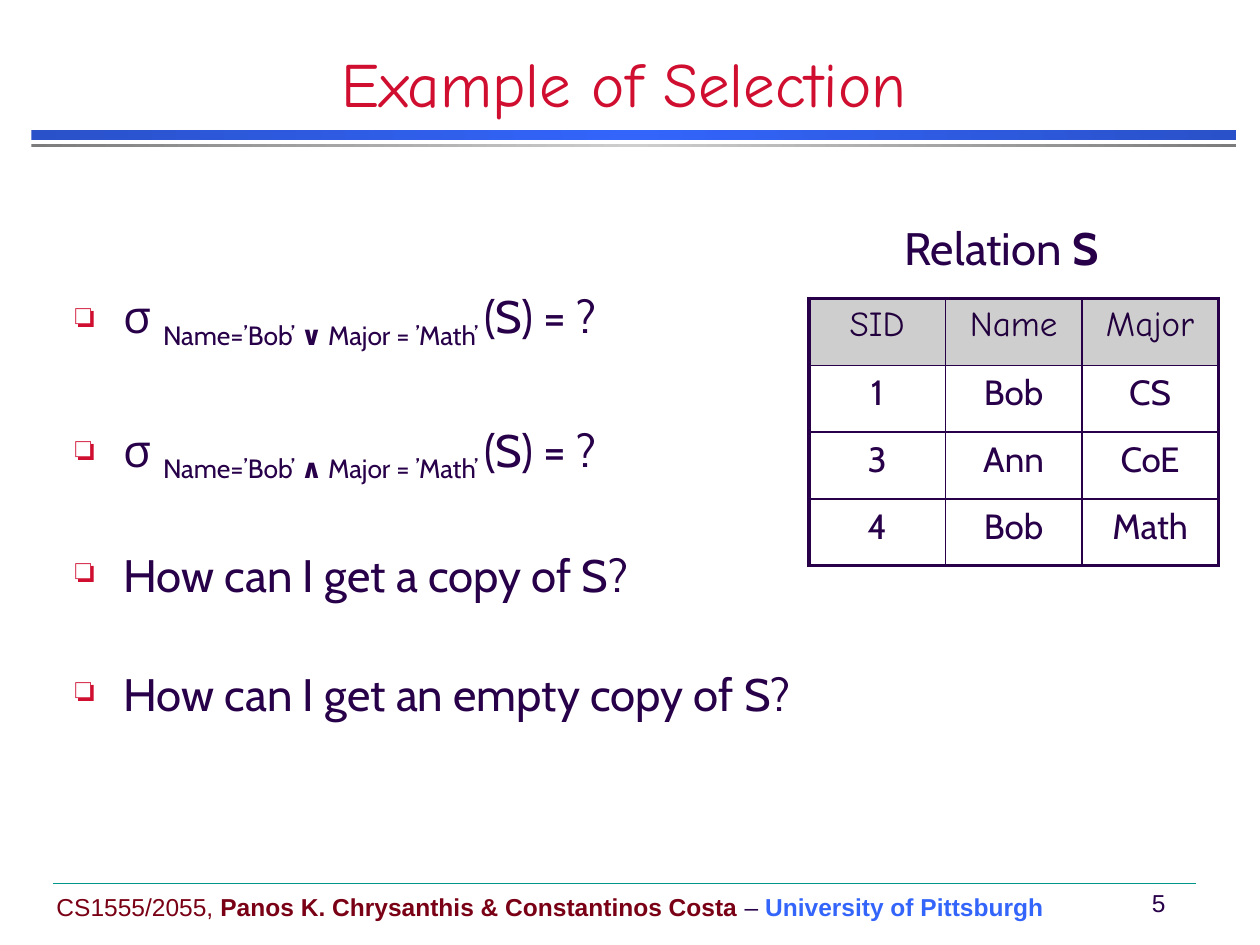
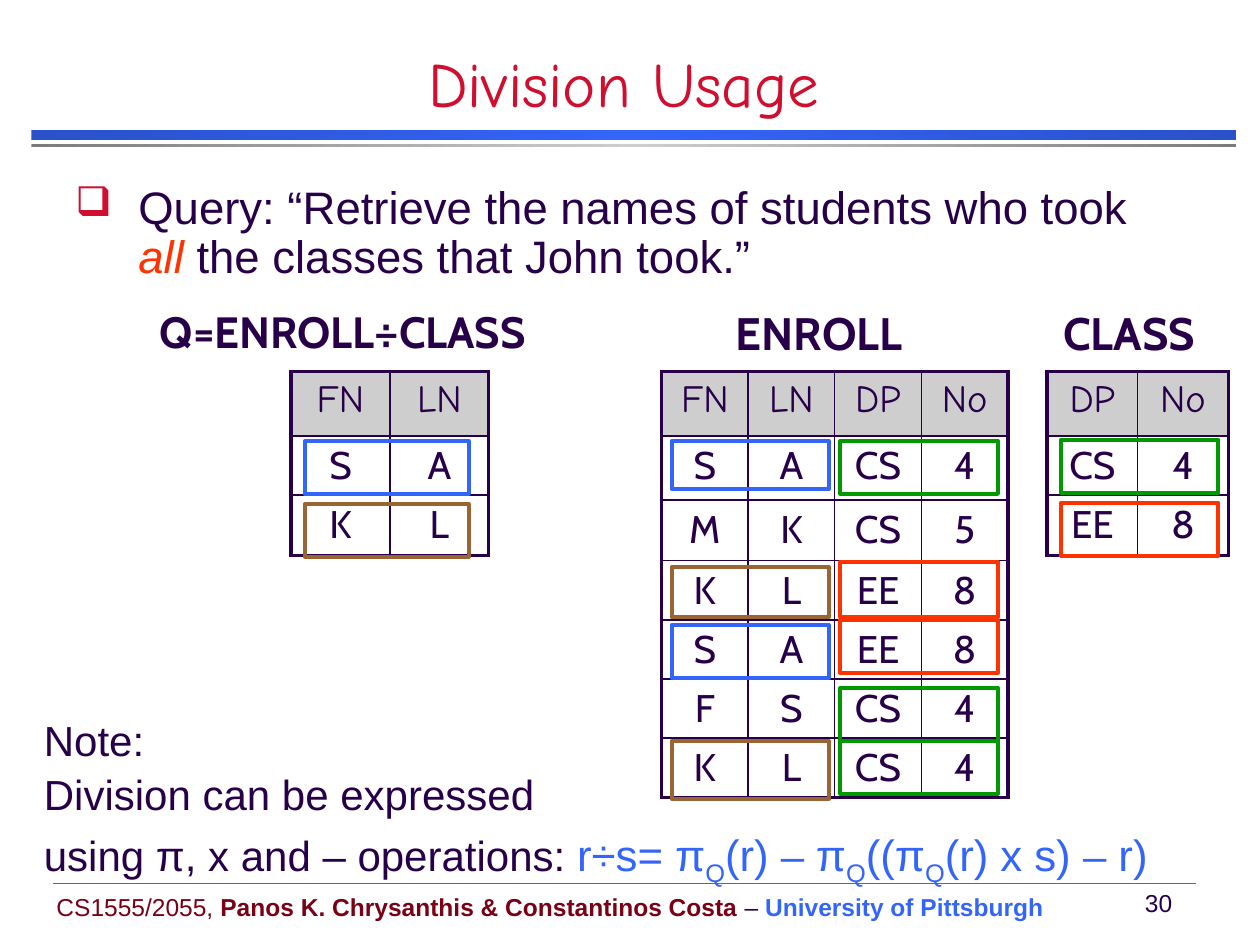
from copy import deepcopy

from lxml import etree
from pptx import Presentation
from pptx import util as u
from pptx.dml.color import RGBColor
from pptx.enum import shapes, text
from pptx.oxml.ns import qn

WIDTH, HEIGHT = u.Inches(10), u.Inches(7.5)
COLUMN, ROW = WIDTH / 10, HEIGHT / 7.5

INK = RGBColor(0x28, 0x00, 0x49)
DARK_INK = RGBColor(0x21, 0x00, 0x3D)
CRIMSON = RGBColor(0xCF, 0x0E, 0x30)
MAROON = RGBColor(0x79, 0x00, 0x15)
BLUE = RGBColor(0x33, 0x65, 0xFB)
DEEP_BLUE = RGBColor(0x29, 0x51, 0xC9)
GREY = RGBColor(0x7C, 0x7C, 0x7C)
SILVER = RGBColor(0xCE, 0xCE, 0xCE)
TEAL = RGBColor(0x00, 0x96, 0x88)
RED = RGBColor(0xFF, 0x33, 0x00)
GREEN = RGBColor(0x00, 0x99, 0x00)
BROWN = RGBColor(0x99, 0x66, 0x33)

ARIAL, CABIN, COMIC, SIGMA_FONT = "Arial", "Cabin", "Comic Neue", "Open Sans"
CENTER = text.PP_ALIGN.CENTER
SUB = {"sub": True}


def place(left, top, width, height):
    """Turn grid columns and rows into slide lengths."""
    return (int(left * COLUMN), int(top * ROW),
            int(width * COLUMN), int(height * ROW))


def style(font, name=None, size=None, color=None, bold=None, italic=None, sub=False):
    """Set the given font properties and leave the others inherited."""
    if name:
        font.name = name
    if size:
        font.size = u.Pt(size)
    if color is not None:
        font.color.rgb = color
    if bold is not None:
        font.bold = bold
    if italic is not None:
        font.italic = italic
    if sub:
        font._element.set("baseline", "-25000")


def add_bullet(paragraph, mark, percent):
    """Give a paragraph a crimson bullet of a relative size."""
    props = paragraph._p.get_or_add_pPr()
    color = etree.SubElement(props, qn("a:buClr"))
    etree.SubElement(color, qn("a:srgbClr"), val=str(CRIMSON))
    etree.SubElement(props, qn("a:buSzPct"), val=str(percent * 1000))
    etree.SubElement(props, qn("a:buChar"), char=mark)


def write(paragraph, runs, name, size, color=INK, bold=None, align=None,
          spacing=None, before=0, hang=0, bullet=None):
    """Fill a paragraph with (wording, run style) pairs."""
    if spacing:
        paragraph.line_spacing = spacing
    if before:
        paragraph.space_before = u.Pt(before)
    if align is not None:
        paragraph.alignment = align
    if hang:
        props = paragraph._p.get_or_add_pPr()
        props.set("marL", str(u.Inches(hang)))
        props.set("indent", str(-u.Inches(hang)))
    if bullet:
        add_bullet(paragraph, *bullet)
    style(paragraph.font, name, size, color, bold)
    for wording, look in runs:
        run = paragraph.add_run()
        run.text = wording
        style(run.font, **look)


def add_text(slide, area, paragraphs, name, size, anchor=text.MSO_ANCHOR.TOP, **look):
    """Add a wrapping text box with one run list per paragraph."""
    frame = slide.shapes.add_textbox(*place(*area)).text_frame
    frame.word_wrap = True
    frame.vertical_anchor = anchor
    for index, runs in enumerate(paragraphs):
        paragraph = frame.add_paragraph() if index else frame.paragraphs[0]
        before = size * 0.2 if index else 0
        write(paragraph, runs, name, size, before=before, **look)
    return frame


def add_band(slide, area, edge, middle):
    """Add a horizontal bar that shades from edge to middle and back."""
    band = slide.shapes.add_shape(shapes.MSO_SHAPE.RECTANGLE, *place(*area))
    band.shadow.inherit = False
    band.line.fill.background()
    band.fill.gradient()
    band.fill.gradient_angle = 0
    stops = band._element.spPr.find(".//" + qn("a:gsLst"))
    stops.insert(1, deepcopy(stops[0]))
    for stop, color, position in zip(band.fill.gradient_stops,
                                     (edge, middle, edge), (0, 0.5, 1)):
        stop.color.rgb = color
        stop.position = position


def add_frame(slide, area, color):
    """Outline a group of cells."""
    frame = slide.shapes.add_shape(shapes.MSO_SHAPE.RECTANGLE, *place(*area))
    frame.shadow.inherit = False
    frame.fill.background()
    frame.line.color.rgb = color
    frame.line.width = u.Pt(2.25)


def add_border(cell, side, points):
    """Draw one side of a cell."""
    line = etree.SubElement(cell._tc.get_or_add_tcPr(), qn("a:ln" + side),
                            w=str(u.Pt(points)))
    fill = etree.SubElement(line, qn("a:solidFill"))
    etree.SubElement(fill, qn("a:srgbClr"), val=str(INK))


def add_relation(slide, left, top, width, heights, rows, size, header_color=INK):
    """Add a relation table with a thick outer border and a grey header."""
    count = len(rows[0])
    table = slide.shapes.add_table(
        len(rows), count, *place(left, top, width, sum(heights))).table
    table.first_row = table.horz_banding = False
    for column in table.columns:
        column.width = int(width * COLUMN / count)
    for r, (height, values) in enumerate(zip(heights, rows)):
        table.rows[r].height = int(height * ROW)
        for c, value in enumerate(values):
            cell = table.cell(r, c)
            outer = {"L": c == 0, "R": c == count - 1,
                     "T": r == 0, "B": r == len(rows) - 1}
            for side, thick in outer.items():
                add_border(cell, side, 2.25 if thick else 1)
            if r == 0:
                cell.fill.solid()
                cell.fill.fore_color.rgb = SILVER
            else:
                cell.fill.background()
            write(cell.text_frame.paragraphs[0], [(value, {})],
                  CABIN if r else COMIC, size, INK if r else header_color,
                  align=CENTER)


def add_label(slide, left, top, width, runs, size=26, bold=None):
    """Add the caption above a relation."""
    add_text(slide, (left, top, width, 0.5), [runs], CABIN, size,
             bold=bold, spacing=0.9)


def add_page(deck, title, number):
    """Start a slide with its title, bands and footer."""
    slide = deck.slides.add_slide(deck.slide_layouts[6])
    add_band(slide, (0.25, 1.03, 9.56, 0.08), DEEP_BLUE, BLUE)
    add_band(slide, (0.25, 1.14, 9.56, 0.03), GREY, SILVER)
    footer = [("CS1555/2055, ", {}),
              ("Panos K. Chrysanthis & Constantinos Costa", {"bold": True}),
              (" – ", {"color": INK}),
              ("University of Pittsburgh", {"color": BLUE, "bold": True})]
    middle = text.MSO_ANCHOR.MIDDLE
    add_text(slide, (0.35, 7.03, 8.3, 0.34), [footer], ARIAL, 14, middle, color=MAROON)
    add_text(slide, (8.95, 7, 0.49, 0.33), [[(str(number), {})]], ARIAL, 14,
             middle, align=CENTER)
    left, top, width, _ = place(0.42, 7.01, 9.07, 0)
    rule = slide.shapes.add_connector(shapes.MSO_CONNECTOR.STRAIGHT,
                                      left, top, left + width, top)
    rule.line.color.rgb = TEAL
    rule.line.width = u.Pt(0.25)
    etree.SubElement(rule._element.spPr, qn("a:effectLst"))
    add_text(slide, (0, 0.42, 9.9, 0.58), [[(title, {})]], COMIC, 36,
             text.MSO_ANCHOR.BOTTOM, color=CRIMSON, align=CENTER)
    return slide


def selection(operator):
    """Return the runs of a selection on S with two conditions."""
    return [("σ ", {"name": SIGMA_FONT}), ("Name=’Bob’ ", SUB),
            (operator, {"sub": True, "bold": True}),
            (" Major = ’Math’ ", SUB), ("(S) = ?", {})]


def add_selection_slide(deck):
    """Build the slide on selection."""
    slide = add_page(deck, "Example of Selection", 5)
    questions = [selection("∨"), selection("∧"),
                 [("How can I get a copy of S?", {})],
                 [("How can I get an empty copy of S?", {})]]
    body = add_text(slide, (0.5, 2.24, 5.9, 3.8), questions, CABIN, 26,
                    spacing=2, hang=0.38, bullet=("❏", 75))
    body.paragraphs[0].line_spacing = 1
    add_relation(slide, 6.42, 2.37, 3.25, [0.53] * 4,
                 [("SID", "Name", "Major"), ("1", "Bob", "CS"),
                  ("3", "Ann", "CoE"), ("4", "Bob", "Math")], 20, DARK_INK)
    add_label(slide, 7.08, 1.75, 1.84, [("Relation ", {}), ("S", {"bold": True})])


def add_division_slide(deck):
    """Build the slide on division."""
    slide = add_page(deck, "Division Usage", 30)
    relations = [
        (2.31, 1.57, [0.51, 0.47, 0.48], ["FN LN", "S A", "K L"]),
        (5.25, 2.75, [0.51, 0.51, 0.48] + [0.47] * 4,
         ["FN LN DP No", "S A CS 4", "M K CS 5", "K L EE 8",
          "S A EE 8", "F S CS 4", "K L CS 4"]),
        (8.31, 1.44, [0.51, 0.47, 0.48], ["DP No", "CS 4", "EE 8"])]
    for left, width, heights, rows in relations:
        add_relation(slide, left, 2.95, width, heights,
                     [row.split() for row in rows], 22)
    for left, width, caption, size in [(1.17, 3.48, "Q=ENROLL÷CLASS", 25),
                                       (5.74, 1.68, "ENROLL", 26),
                                       (8.34, 1.37, "CLASS", 26)]:
        add_label(slide, left, 2.42, width, [(caption, {})], size, True)

    matches = {
        (2.42, 1.3): [(3.5, 0.42, BLUE), (4, 0.42, BROWN)],
        (5.33, 1.25): [(3.5, 0.38, BLUE), (4.5, 0.4, BROWN),
                       (4.96, 0.42, BLUE), (5.88, 0.46, BROWN)],
        (6.67, 1.25): [(3.5, 0.42, GREEN), (4.46, 0.44, RED), (4.92, 0.42, RED),
                       (5.46, 0.42, GREEN), (5.88, 0.42, GREEN)],
        (8.42, 1.25): [(3.49, 0.42, GREEN), (3.99, 0.42, RED)]}
    for (left, width), frames in matches.items():
        for top, height, color in frames:
            add_frame(slide, (left, top, width, height), color)

    query = [("Query: “Retrieve the names of students who took ", {}),
             ("all", {"color": RED, "italic": True}),
             (" the classes that John took.”", {})]
    add_text(slide, (0.5, 1.42, 8.75, 0.92), [query], ARIAL, 26,
             spacing=0.9, hang=0.5, bullet=("❑", 90))

    formula = {"color": BLUE, "size": 25}
    dash = {"color": BLUE}
    low = {**formula, **SUB}
    division = [("using π, x and – operations: ", {}),
                ("r÷s= π", formula), ("Q", low), ("(r) ", formula), ("– ", dash),
                ("π", formula), ("Q", low), ("((π", formula), ("Q", low),
                ("(r) x s) ", formula), ("–", dash), (" r)", formula)]
    add_text(slide, (0.25, 5.67, 9.42, 1.42),
             [[("Note:", {})], [("Division can be expressed", {})], division],
             ARIAL, 24, spacing=0.9, hang=0.38)


def main():
    """Build and save the deck."""
    deck = Presentation()
    deck.slide_width, deck.slide_height = WIDTH, HEIGHT
    add_selection_slide(deck)
    add_division_slide(deck)
    deck.save("out.pptx")


if __name__ == "__main__":
    main()
